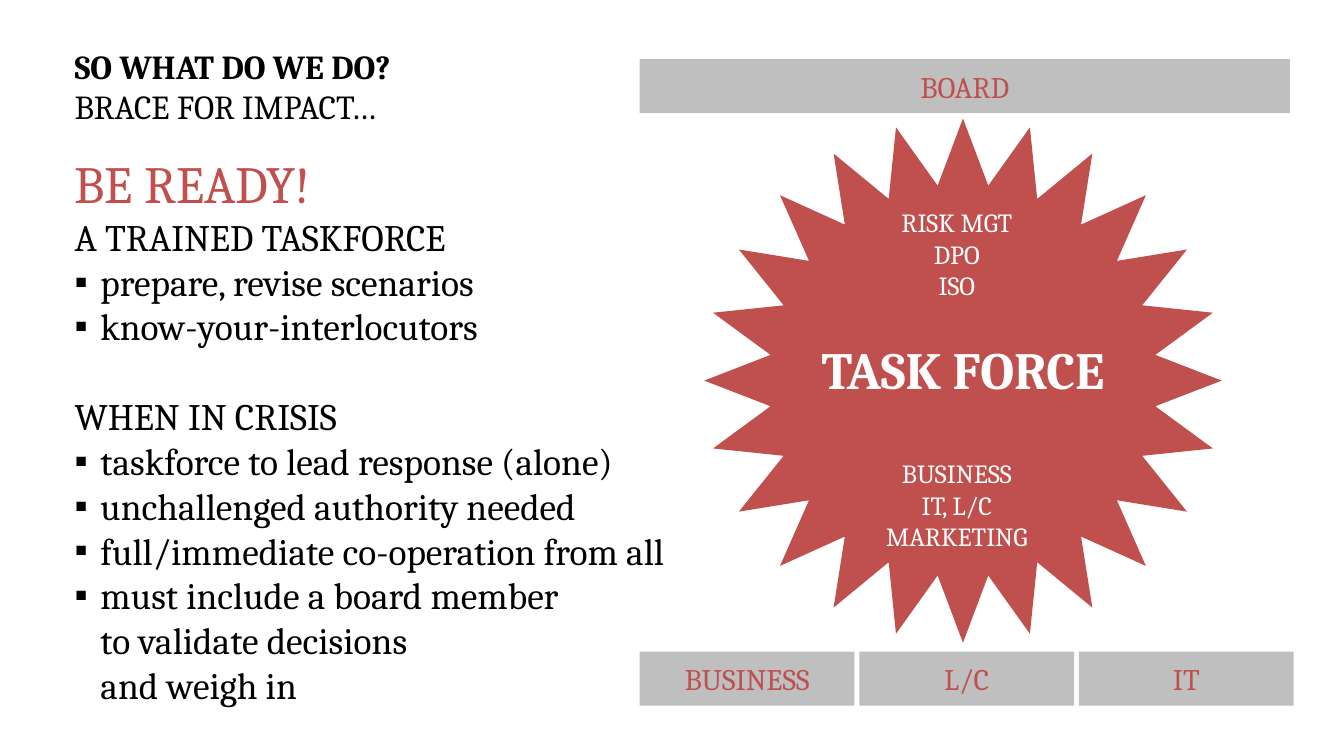
from copy import deepcopy

from lxml import etree
from pptx import Presentation
from pptx import util as u
from pptx.dml.color import RGBColor
from pptx.enum import shapes, text
from pptx.oxml.ns import qn

RED, GREY, BLACK, WHITE = "C0504D", "BFBFBF", "000000", "FFFFFF"


def rgb(value):
    return RGBColor.from_string(value)


def write(tf, content, first=False, size=20, color=BLACK, bold=False,
          align=text.PP_ALIGN.LEFT, before=0, bullet=False):
    """Write one paragraph; a newline in content is a line break."""
    p = tf.paragraphs[0] if first else tf.add_paragraph()
    p.text = content
    p.alignment = align
    p.space_before = u.Pt(before)
    for r in p.runs:
        r.font.name = Deck.FONT
        r.font.size = u.Pt(size)
        r.font.bold = bold
        r.font.color.rgb = rgb(color)
    for br in p._p.findall(qn("a:br")):
        br.append(deepcopy(p.runs[0].font._rPr))
    if bullet:
        pPr = p._p.get_or_add_pPr()
        pPr.set("marL", str(u.Cm(0.49)))
        pPr.set("indent", str(-u.Cm(0.49)))
        etree.SubElement(pPr, qn("a:buFont")).set("typeface", "Arial")
        etree.SubElement(pPr, qn("a:buChar")).set("char", "▪")


class Deck:
    FONT = "Cambria"

    def __init__(self, width, height):
        self.prs = Presentation()
        self.prs.slide_width, self.prs.slide_height = u.Cm(width), u.Cm(height)
        self.s = self.prs.slides.add_slide(self.prs.slide_layouts[6])

    def text_box(self, x, y, w, h, paragraphs, **style):
        sp = self.s.shapes.add_textbox(u.Cm(x), u.Cm(y), u.Cm(w), u.Cm(h))
        tf = sp.text_frame
        tf.word_wrap = True
        tf.margin_left = tf.margin_right = u.Cm(0.24)
        tf.margin_top = tf.margin_bottom = u.Cm(0.12)
        for i, (content, extra) in enumerate(paragraphs):
            write(tf, content, first=i == 0, **{**style, **extra})

    def shape(self, kind, x, y, w, h, fill, label, lift=0, **style):
        """Add a filled shape; lift raises its centred label."""
        sp = self.s.shapes.add_shape(kind, u.Cm(x), u.Cm(y), u.Cm(w), u.Cm(h))
        sp.shadow.inherit = False
        sp.fill.solid()
        sp.fill.fore_color.rgb = rgb(fill)
        sp.line.fill.background()
        tf = sp.text_frame
        tf.word_wrap = False
        tf.vertical_anchor = text.MSO_ANCHOR.MIDDLE
        tf.margin_left = tf.margin_right = tf.margin_top = 0
        tf.margin_bottom = u.Cm(lift)
        write(tf, label, first=True, align=text.PP_ALIGN.CENTER, **style)

    def bar(self, x, y, w, label):
        self.shape(shapes.MSO_SHAPE.RECTANGLE, x, y, w, 1.02, GREY, label,
                   size=16, color=RED)


def main():
    deck = Deck(25.4, 14.29)
    item = {"bullet": True}

    # Advice on the left
    deck.text_box(1.17, 2.74, 19.53, 10.82, [
        ("BE READY!", {"size": 28, "color": RED}),
        ("A TRAINED TASKFORCE", {}),
        ("prepare, revise scenarios", item),
        ("know-your-interlocutors", item),
        ("WHEN IN CRISIS", {"before": 24}),
        ("taskforce to lead response (alone)", item),
        ("unchallenged authority needed", item),
        ("full/immediate co-operation from all", item),
        ("must include a board member\nto validate decisions\nand weigh in", item),
    ])

    # Title
    deck.text_box(1.17, 0.74, 23.14, 1.78, [
        ("SO WHAT DO WE DO?", {"bold": True}),
        ("BRACE FOR IMPACT…", {}),
    ], size=18)

    # Board above, departments below
    left = 12.09
    deck.bar(left, 1.12, 12.29, "BOARD")
    for i, label in enumerate(["BUSINESS", "L/C", "IT"]):
        deck.bar(left + i * 4.15, 12.32, 4.06, label)

    # Task force star and its members
    deck.shape(shapes.MSO_SHAPE.STAR_24_POINT, 13.31, 2.24, 9.78, 9.91, RED,
               "TASK FORCE", lift=0.46, size=28, color=WHITE, bold=True)
    deck.text_box(14.91, 3.79, 6.35, 6.83, [
        ("RISK MGT\nDPO", {}),
        ("ISO", {}),
        ("BUSINESS\nIT, L/C", {"before": 84}),
        ("MARKETING", {}),
    ], size=14, color=WHITE, align=text.PP_ALIGN.CENTER)

    deck.prs.save("out.pptx")


if __name__ == "__main__":
    main()
